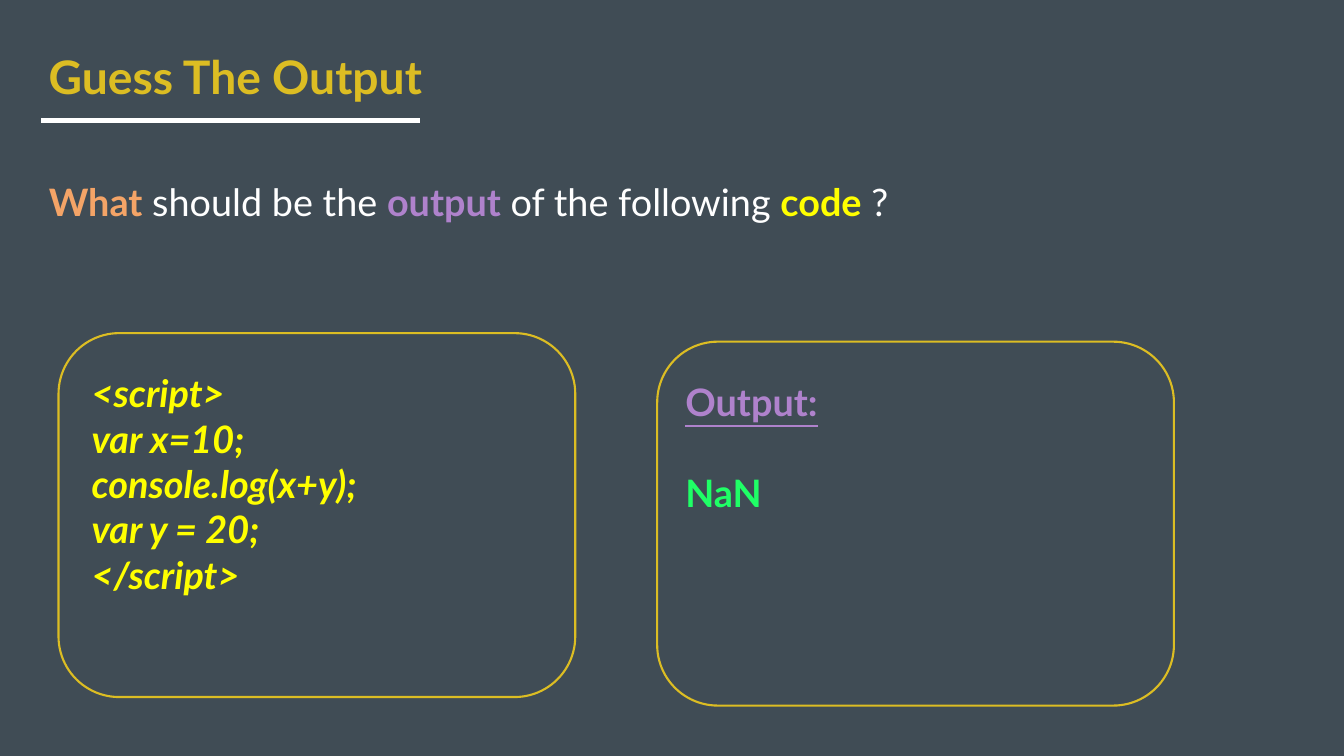
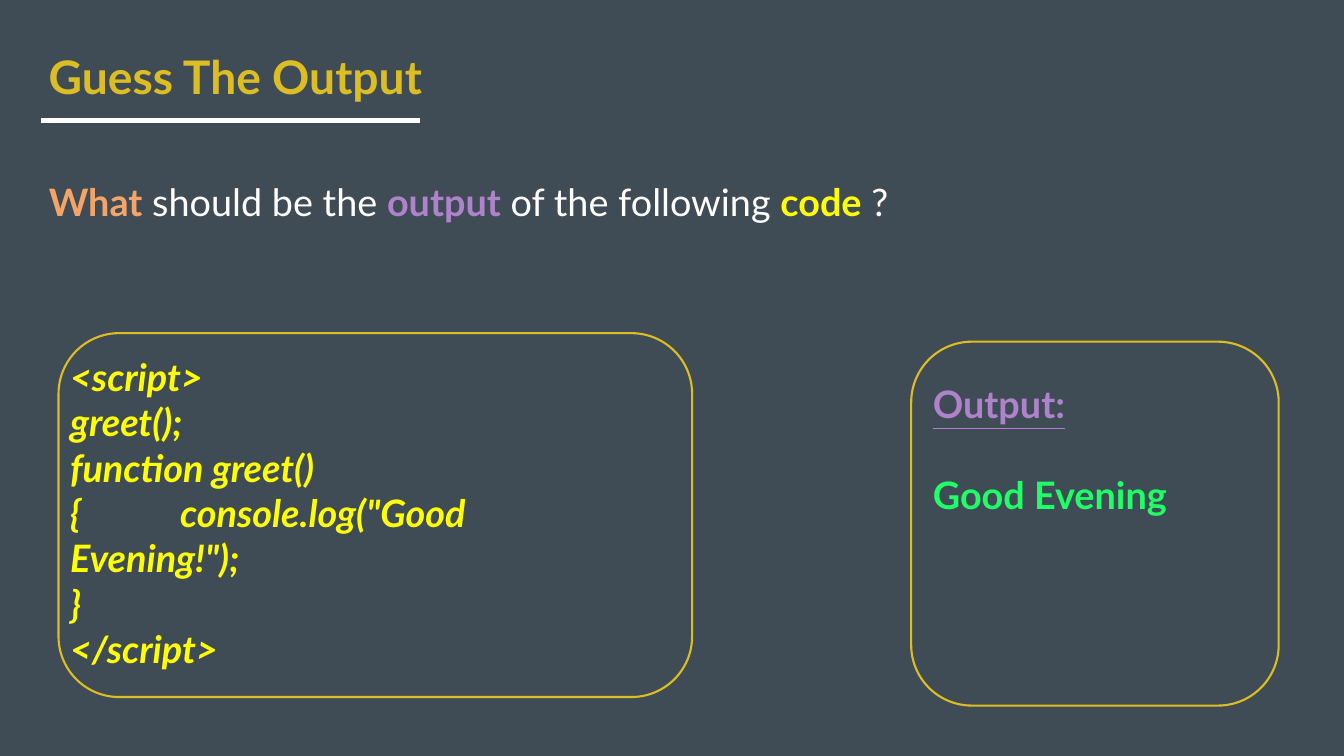
from lxml import etree
from pptx import Presentation
from pptx import util as u
from pptx.dml.color import RGBColor
from pptx.enum import shapes, text
from pptx.oxml.ns import qn

SLATE, GOLD, WHITE = "404C55", "DCBD23", "FFFFFF"
ORANGE, PURPLE, YELLOW, GREEN = "F4A467", "AF82CC", "FFFF00", "1FFF66"
FRAME_HEIGHT = 18.34
QUESTION = [("What", ORANGE, True), (" should be the ", WHITE, False),
            ("output", PURPLE, True), (" of the following ", WHITE, False),
            ("code", YELLOW, True), (" ?", WHITE, False)]


def rgb(value):
    return RGBColor.from_string(value)


def cm(*lengths):
    return [u.Cm(length) for length in lengths]


class QuizDeck:
    font_name = "Lato"
    body_size = 54
    title_size = 66

    def __init__(self):
        self.prs = Presentation()
        self.prs.slide_width, self.prs.slide_height = cm(67.73, 38.1)
        backdrop = self.prs.slide_master.background.fill
        backdrop.solid()
        backdrop.fore_color.rgb = rgb(SLATE)
        self.slide = None

    def style(self, run, color, size=None, bold=True, italic=False, underline=False):
        font = run.font
        font.name = self.font_name
        font.size = u.Pt(size or self.body_size)
        font.bold, font.italic, font.underline = bold, italic, underline
        font.color.rgb = rgb(color)

    def title(self, wording):
        self.slide = self.prs.slides.add_slide(self.prs.slide_layouts[5])
        heading = self.slide.shapes.title
        heading.left, heading.top, heading.width, heading.height = cm(1.75, 2.29, 20.22, 3.07)
        frame = heading.text_frame
        frame.text = wording
        frame.word_wrap = False
        frame.auto_size = text.MSO_AUTO_SIZE.SHAPE_TO_FIT_TEXT
        frame.vertical_anchor = text.MSO_ANCHOR.TOP
        frame.paragraphs[0].alignment = text.PP_ALIGN.CENTER
        self.style(frame.paragraphs[0].runs[0], GOLD, self.title_size)

    def rule(self, left, right, y):
        rule = self.slide.shapes.add_connector(
            shapes.MSO_CONNECTOR.STRAIGHT, *cm(left, y, right, y))
        rule.line.color.rgb = rgb(WHITE)
        rule.line.width = u.Pt(8)
        etree.SubElement(rule.element.spPr, qn("a:effectLst"))

    def text_box(self, *place):
        frame = self.slide.shapes.add_textbox(*cm(*place)).text_frame
        frame.word_wrap = True
        frame.auto_size = text.MSO_AUTO_SIZE.SHAPE_TO_FIT_TEXT
        return frame

    def question(self, phrases):
        sentence = self.text_box(2.21, 8.86, 56.92, 2.57).paragraphs[0]
        for wording, color, bold in phrases:
            run = sentence.add_run()
            run.text = wording
            self.style(run, color, bold=bold)

    def frame(self, *place):
        outline = self.slide.shapes.add_shape(
            shapes.MSO_SHAPE.ROUNDED_RECTANGLE, *cm(*place, FRAME_HEIGHT))
        outline.shadow.inherit = False
        outline.fill.background()
        outline.line.color.rgb = rgb(GOLD)
        outline.line.width = u.Pt(3)

    def code(self, listing, place):
        frame = self.text_box(*place)
        frame.text = listing
        for line in frame.paragraphs:
            if "\t" in line.text:
                stops = etree.SubElement(line._p.get_or_add_pPr(), qn("a:tabLst"))
                etree.SubElement(stops, qn("a:tab"), pos=str(u.Cm(5.55)), algn="l")
            for run in line.runs:
                self.style(run, YELLOW, italic=True)

    def output(self, answer, place):
        frame = self.text_box(*place)
        frame.text = "Output:\n" + answer
        label, result = frame.paragraphs
        result.space_before = u.Pt(65)
        self.style(label.runs[0], PURPLE, underline=True)
        self.style(result.runs[0], GREEN)

    def quiz(self, listing, code_place, code_frame, answer, answer_place, answer_frame):
        self.title("Guess The Output")
        self.rule(2.08, 21.16, 6.07)
        self.code(listing, code_place)
        self.frame(*code_frame)
        self.frame(*answer_frame)
        self.output(answer, answer_place)
        self.question(QUESTION)


def main():
    deck = QuizDeck()
    deck.quiz(
        "<script>\nvar x=10;\nconsole.log(x+y);\nvar y = 20;\n</script>",
        (4.37, 18.52, 18.01, 11.79), (2.95, 16.79, 26.04),
        "NaN", (34.29, 18.95, 18.01, 7.19), (33.12, 17.22, 26.04))
    deck.quiz(
        '<script>\ngreet();\nfunction greet()\v{\tconsole.log("Good Evening!");\n}\n</script>',
        (3.28, 17.7, 28.45, 14.1), (2.95, 16.79, 31.93),
        "Good Evening", (46.76, 19.08, 15.09, 7.19), (45.92, 17.22, 18.52))
    deck.prs.save("out.pptx")


if __name__ == "__main__":
    main()
